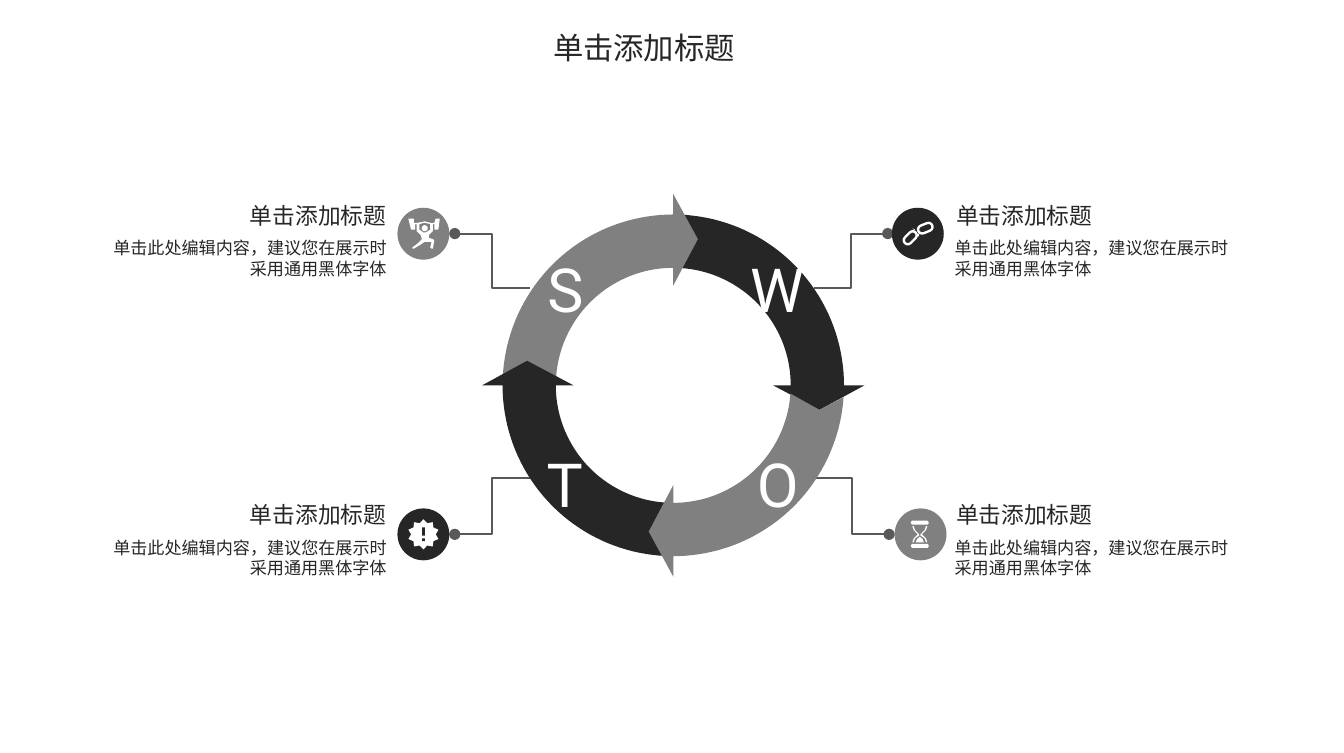
import math
from dataclasses import dataclass

import pptx
import pptx.dml.color
import pptx.enum.shapes
import pptx.enum.text
import pptx.oxml
import pptx.oxml.ns
import pptx.util

Inches = pptx.util.Inches
Shapes = pptx.enum.shapes.MSO_SHAPE
Align = pptx.enum.text.PP_ALIGN
Anchor = pptx.enum.text.MSO_ANCHOR


@dataclass(frozen=True)
class Theme:
    dark: str = "262626"
    grey: str = "808080"
    rule: str = "595959"
    white: str = "FFFFFF"
    heading_font: str = "Noto Sans CJK SC"
    body_font: str = "Lato"
    letter_font: str = "Roboto"
    title_size: int = 16
    heading_size: int = 12
    body_size: int = 9
    letter_size: int = 32


THEME = Theme()
HEADING = "单击添加标题"
BODY = "单击此处编辑内容，建议您在展示时采用通用黑体字体"
ROW_GAP = 2.19
DISC = 0.38
RING_CENTRE = (4.93, 2.82)
OUTER, INNER = 1.25, 0.86
HEAD_TIP, HEAD_OUTER, HEAD_INNER, HEAD_LENGTH = 1.07, 1.4, 0.73, 0.18

LIFTER_BODY = [
    (23, 0), (22, 8), (19, 8), (19, 4), (18, 4), (18, 9), (15, 12), (15, 14),
    (18, 15), (19, 16), (18, 22), (17, 22), (16, 21), (17, 17), (12, 17),
    (9, 19), (4, 22), (3, 22), (3, 21), (7, 18), (10, 15), (9, 12), (6, 9),
    (6, 4), (5, 4), (5, 8), (2, 8), (0, 0), (4, 0), (4, 3), (7, 3), (12, 2),
    (16, 3), (19, 3), (20, 0),
]
LIFTER_ARMS = [(16, 4), (12, 3), (8, 4), (8, 8), (11, 10), (13, 10), (16, 8)]
HOURGLASS_CAP = [(1, 0), (12, 0), (13, 1), (13, 2), (12, 3), (1, 3), (0, 2), (0, 1)]
HOURGLASS_SIDE = [
    (11, 4), (12, 4), (11, 7), (8, 10), (11, 13), (12, 16), (11, 16),
    (10, 13), (7, 11), (7, 10), (10, 7),
]
HOURGLASS_SAND = [(3.5, 16), (4.5, 13.5), (6.5, 11.8), (8.5, 13.5), (9.5, 16)]
CHAIN_SPARKS = [
    [(11, 9), (12, 9), (12, 11), (11, 11)],
    [(7, 5), (9, 6), (9, 7), (8, 6)],
]


def rgb(colour):
    return pptx.dml.color.RGBColor.from_string(colour)


def box(left, top, width, height):
    return [Inches(value) for value in (left, top, width, height)]


def write_text(frame, text, *, font, size, colour, align=Align.LEFT,
               anchor=Anchor.TOP, insets=(0.07, 0.04), wrap=True):
    frame.word_wrap = wrap
    frame.auto_size = pptx.enum.text.MSO_AUTO_SIZE.NONE
    frame.vertical_anchor = anchor
    frame.margin_left = frame.margin_right = Inches(insets[0])
    frame.margin_top = frame.margin_bottom = Inches(insets[1])
    paragraph = frame.paragraphs[0]
    paragraph.alignment = align
    run = paragraph.add_run()
    run.text = text
    run.font.size = pptx.util.Pt(size)
    run.font.color.rgb = rgb(colour)
    run.font.name = font
    east_asian = pptx.oxml.parse_xml(
        f'<a:ea {pptx.oxml.ns.nsdecls("a")} typeface="{font}"/>')
    run.font._element.append(east_asian)


def add_text(slide, place, text, **text_format):
    write_text(slide.shapes.add_textbox(*box(*place)).text_frame, text, **text_format)


def paint(shape, colour):
    shape.shadow.inherit = False
    shape.fill.solid()
    shape.fill.fore_color.rgb = rgb(colour)
    shape.line.fill.background()
    return shape


def add_solid(slide, kind, place, colour):
    return paint(slide.shapes.add_shape(kind, *box(*place)), colour)


def add_outline(slide, contours, colour):
    contours = [[(Inches(x), Inches(y)) for x, y in contour] for contour in contours]
    builder = slide.shapes.build_freeform(*contours[0][0], scale=1.0)
    for index, contour in enumerate(contours):
        if index:
            builder.move_to(*contour[0])
        builder.add_line_segments(contour[1:], close=True)
    return paint(builder.convert_to_shape(), colour)


def add_icon_outline(slide, left, top, contours):
    placed = [[(left + x / 100, top + y / 100) for x, y in contour] for contour in contours]
    add_outline(slide, placed, THEME.white)


def add_lead_line(slide, begin, end):
    line = slide.shapes.add_connector(
        pptx.enum.shapes.MSO_CONNECTOR.ELBOW,
        *[Inches(value) for value in (*begin, *end)])
    line.line.color.rgb = rgb(THEME.rule)
    line.line.width = pptx.util.Pt(1)
    namespace = pptx.oxml.ns.nsdecls("a")
    line.line._get_or_add_ln().append(
        pptx.oxml.parse_xml(f'<a:tailEnd {namespace} type="oval"/>'))
    line._element.spPr.append(pptx.oxml.parse_xml(f"<a:effectLst {namespace}/>"))


def ring_point(degrees, radius, ahead=0):
    angle = math.radians(degrees)
    return (RING_CENTRE[0] + radius * math.cos(angle) - ahead * math.sin(angle),
            RING_CENTRE[1] + radius * math.sin(angle) + ahead * math.cos(angle))


def add_ring_arrow(slide, start, colour, notched=False):
    end, steps = start + 90, 40
    first = start + (4 if notched else 0)
    sweep = [first + (end - first) * step / steps for step in range(steps + 1)]
    outline = [ring_point(angle, OUTER) for angle in sweep]
    outline += [ring_point(end, HEAD_OUTER), ring_point(end, HEAD_TIP, HEAD_LENGTH),
                ring_point(end, HEAD_INNER)]
    outline += [ring_point(angle, INNER) for angle in reversed(sweep)]
    if notched:
        outline.append(ring_point(start, HEAD_TIP, HEAD_LENGTH))
    add_outline(slide, [outline], colour)


def add_lifter(slide, left, top):
    head = [(12 + 2.2 * math.cos(step * math.pi / 8), 7 + 2.2 * math.sin(step * math.pi / 8))
            for step in range(16)]
    add_icon_outline(slide, left + 0.08, top + 0.08, [LIFTER_BODY, LIFTER_ARMS, head])


def add_chain(slide, left, top):
    for x, y, tilt in [(0.08, 0.19, -45), (0.19, 0.12, -22)]:
        link = slide.shapes.add_shape(
            Shapes.ROUNDED_RECTANGLE, *box(left + x, top + y, 0.11, 0.06))
        link.shadow.inherit = False
        link.adjustments[0] = 0.5
        link.rotation = tilt
        link.fill.background()
        link.line.color.rgb = rgb(THEME.white)
        link.line.width = pptx.util.Pt(1.25)
    add_icon_outline(slide, left + 0.08, top + 0.1, CHAIN_SPARKS)


def add_hourglass(slide, left, top):
    base = [(x, y + 17) for x, y in HOURGLASS_CAP]
    far_side = [(13 - x, y) for x, y in HOURGLASS_SIDE]
    add_icon_outline(slide, left + 0.12, top + 0.09,
                     [HOURGLASS_CAP, base, HOURGLASS_SIDE, far_side, HOURGLASS_SAND])


def add_warning(slide, left, top):
    burst = add_solid(slide, Shapes.STAR_10_POINT,
                      (left + 0.08, top + 0.08, 0.22, 0.22), THEME.white)
    burst.adjustments[0] = 0.39
    for y, height in [(0.14, 0.06), (0.22, 0.02)]:
        add_solid(slide, Shapes.RECTANGLE, (left + 0.18, top + y, 0.02, height), THEME.dark)


def add_caption(slide, on_right, row):
    drop = row * ROW_GAP
    align = Align.LEFT if on_right else Align.RIGHT
    add_text(slide, (6.93 if on_right else 1.27, 1.47 + drop, 1.63, 0.21), HEADING,
             font=THEME.heading_font, size=THEME.heading_size, colour=THEME.dark,
             align=align, anchor=Anchor.MIDDLE)
    add_text(slide, (6.99 if on_right else 0.8, 1.74 + drop, 2.03, 0.3), BODY,
             font=THEME.body_font, size=THEME.body_size, colour=THEME.dark,
             align=align, insets=(0, 0))


def main():
    deck = pptx.Presentation()
    deck.slide_width, deck.slide_height = Inches(9.84), Inches(5.51)
    slide = deck.slides.add_slide(deck.slide_layouts[5])
    title = slide.shapes.title
    title.left, title.top, title.width, title.height = box(3.95, 0.16, 3.25, 0.37)
    write_text(title.text_frame, HEADING, font=THEME.heading_font, size=THEME.title_size,
               colour=THEME.dark, insets=(0.1, 0.05))

    for begin, end in [((5.96, 2.11), (6.5, 1.71)), ((3.88, 2.11), (3.33, 1.71)),
                       ((3.88, 3.5), (3.33, 3.91)), ((5.97, 3.5), (6.51, 3.91))]:
        add_lead_line(slide, begin, end)

    add_ring_arrow(slide, -90, THEME.dark)
    add_ring_arrow(slide, 180, THEME.grey)
    add_ring_arrow(slide, 90, THEME.dark)
    add_ring_arrow(slide, 0, THEME.grey, notched=True)

    for letter, left, top, width in [("S", 3.96, 1.8, 0.36), ("W", 5.41, 1.8, 0.56),
                                     ("O", 5.47, 3.23, 0.45), ("T", 3.95, 3.23, 0.37)]:
        add_text(slide, (left, top, width, 0.61), letter, font=THEME.letter_font,
                 size=THEME.letter_size, colour=THEME.white, align=Align.CENTER, wrap=False)

    for add_icon, left, top, colour in [
            (add_lifter, 2.91, 1.52, THEME.grey), (add_chain, 6.53, 1.52, THEME.dark),
            (add_hourglass, 6.55, 3.72, THEME.grey), (add_warning, 2.91, 3.72, THEME.dark)]:
        add_solid(slide, Shapes.OVAL, (left, top, DISC, DISC), colour)
        add_icon(slide, left, top)

    for row in range(2):
        for on_right in (True, False):
            add_caption(slide, on_right, row)
    deck.save("out.pptx")


if __name__ == "__main__":
    main()
